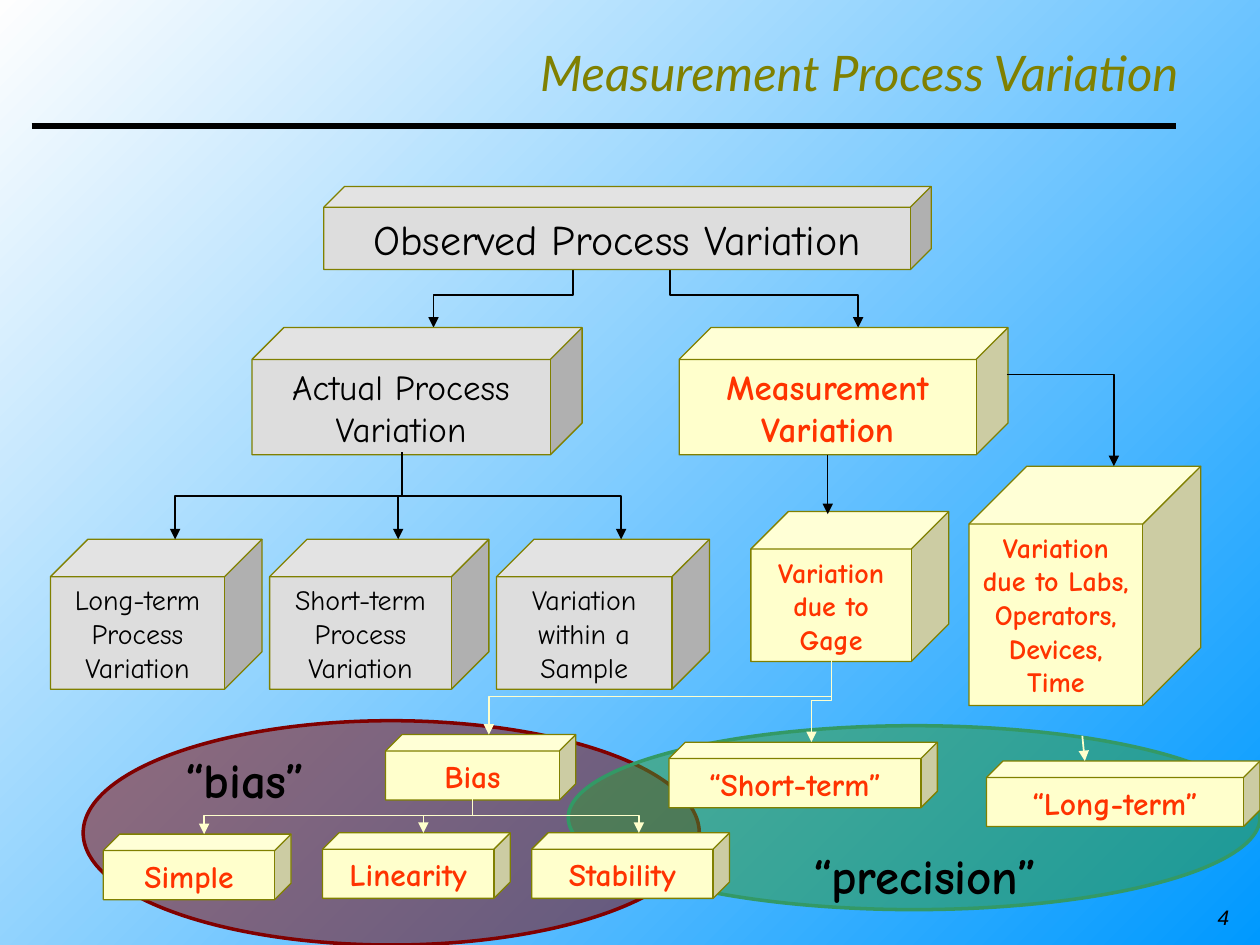
import pptx
import pptx.dml.color
import pptx.enum.shapes
import pptx.enum.text
import pptx.oxml
import pptx.oxml.ns
import pptx.util

Inches = pptx.util.Inches
Pt = pptx.util.Pt
SHAPE = pptx.enum.shapes.MSO_SHAPE
CONNECTOR = pptx.enum.shapes.MSO_CONNECTOR
ALIGN = pptx.enum.text.PP_ALIGN
ANCHOR = pptx.enum.text.MSO_ANCHOR
qn = pptx.oxml.ns.qn


def rgb(value):
    return pptx.dml.color.RGBColor.from_string(value)


def add_child(parent, tag, **attrs):
    child = pptx.oxml.parse_xml(f"<{tag} {pptx.oxml.ns.nsdecls('a')}/>")
    for name, value in attrs.items():
        child.set(name, value)
    parent.append(child)


class Diagram:
    BLACK = "000000"
    GREY = "DDDDDD"
    CREAM = "FFFFCC"
    OLIVE = "808000"
    RED = "FF3300"
    FONT = "Comic Neue"

    def __init__(self, prs):
        self.slide = prs.slides.add_slide(prs.slide_layouts[6])
        self.shapes = self.slide.shapes

    def shape(self, kind, box):
        sp = self.shapes.add_shape(kind, *map(Inches, box))
        sp.shadow.inherit = False
        return sp

    def backdrop(self, start, end):
        fill = self.slide.background.fill
        fill.solid()
        fill.fore_color.rgb = rgb(self.CREAM)
        sp = self.shape(SHAPE.RECTANGLE, (0, 0, 10, 7.5))
        sp.fill.gradient()
        sp.fill.gradient_angle = 135
        for stop, color in zip(sp.fill.gradient_stops, (start, end)):
            stop.color.rgb = rgb(color)
        sp.line.fill.background()

    def ellipse(self, box, fill, line):
        sp = self.shape(SHAPE.OVAL, box)
        sp.fill.solid()
        sp.fill.fore_color.rgb = rgb(fill)
        color = sp._element.spPr.find(qn("a:solidFill")).find(qn("a:srgbClr"))
        add_child(color, "a:alpha", val="50000")
        sp.line.color.rgb = rgb(line)
        sp.line.width = Pt(2)

    def set_text(self, tf, lines, size, color, font=FONT, bold=False,
                 italic=False, align=ALIGN.CENTER, before=0):
        tf.text = "\n".join(lines)
        for p in tf.paragraphs:
            p.alignment = align
            p.space_before = Pt(before)
            p.font.name = font
            p.font.size = Pt(size)
            p.font.bold = bold
            p.font.italic = italic
            p.font.color.rgb = rgb(color)

    def cube(self, box, size, *lines, measured=True):
        sp = self.shape(SHAPE.CUBE, box)
        sp.adjustments[0] = 0.25
        sp.fill.solid()
        sp.fill.fore_color.rgb = rgb(self.CREAM if measured else self.GREY)
        sp.line.color.rgb = rgb(self.OLIVE)
        sp.line.width = Pt(0.75)
        tf = sp.text_frame
        tf.word_wrap = True
        tf.vertical_anchor = ANCHOR.TOP
        tf.margin_left = tf.margin_right = Inches(0.09)
        self.set_text(tf, lines, size, self.RED if measured else self.BLACK,
                      bold=measured)

    def text(self, box, text, size, color=BLACK, wrap=False,
             anchor=ANCHOR.TOP, **style):
        tf = self.shapes.add_textbox(*map(Inches, box)).text_frame
        tf.word_wrap = wrap
        tf.vertical_anchor = anchor
        self.set_text(tf, [text], size, color, **style)

    def line(self, start, end, color=BLACK, width=0.75, arrow=True,
             kind=CONNECTOR.STRAIGHT):
        cxn = self.shapes.add_connector(kind, *map(Inches, (*start, *end)))
        cxn.line.color.rgb = rgb(color)
        cxn.line.width = Pt(width)
        spPr = cxn._element.spPr
        if arrow:
            add_child(spPr.find(qn("a:ln")), "a:tailEnd", type="triangle")
        add_child(spPr, "a:effectLst")
        return cxn

    def drop(self, start, end, color=BLACK, width=0.75):
        (x1, y1), (x2, y2) = start, end
        cx, cy = (x1 + x2) / 2, (y1 + y2) / 2
        half_w, half_h = (y2 - y1) / 2, abs(x2 - x1) / 2
        turn = 270 if x2 > x1 else 90
        if turn == 270:
            half_w = -half_w
        cxn = self.line((cx - half_w, cy - half_h), (cx + half_w, cy + half_h),
                        color, width, kind=CONNECTOR.ELBOW)
        cxn._element.spPr.find(qn("a:xfrm")).set("rot", str(turn * 60000))

    def corner(self, start, end):
        cxn = self.line(start, end, kind=CONNECTOR.ELBOW)
        cxn._element.spPr.find(qn("a:prstGeom")).set("prst", "bentConnector2")


def main():
    prs = pptx.Presentation()
    prs.slide_width, prs.slide_height = Inches(10), Inches(7.5)
    s = Diagram(prs)

    s.backdrop("0099FF", "FEFEFE")
    s.line((0.25, 1), (9.33, 1), width=3, arrow=False)
    s.text((9.42, 7.13, 0.58, 0.3), "4", 12, wrap=True, font="Arial",
           italic=True, before=7.5)
    s.text((1.95, 0.35, 7.5, 0.44), "Measurement Process Variation", 28,
           s.OLIVE, wrap=True, anchor=ANCHOR.MIDDLE, font="Lato",
           italic=True, align=ALIGN.RIGHT)
    s.ellipse((0.66, 5.72, 4.89, 1.78), "800000", "800000")
    s.ellipse((4.51, 5.76, 5.49, 1.46), "339933", "339966")

    s.drop((4.55, 2.08), (3.44, 2.6), width=1)
    s.drop((5.32, 2.08), (6.81, 2.6), width=1)
    s.cube((2.57, 1.48, 4.82, 0.66), 24, "Observed Process Variation",
           measured=False)
    s.cube((2, 2.6, 2.62, 1.01), 20, "Actual Process Variation",
           measured=False)
    s.cube((5.39, 2.6, 2.61, 1.01), 20, "Measurement Variation")

    for left, width, tip, label in (
        (0.4, 1.68, 1.39, "Long-term Process Variation"),
        (2.14, 1.74, 3.16, "Short-term Process Variation"),
        (3.94, 1.69, 4.93, "Variation within a Sample"),
    ):
        s.cube((left, 4.28, width, 1.19), 16, label, measured=False)
        s.drop((3.19, 3.59), (tip, 4.28), width=1)

    s.cube((7.69, 3.7, 1.84, 1.9), 16, "Variation",
           "due to Labs, Operators, Devices,", "Time")
    s.cube((5.96, 4.06, 1.57, 1.19), 16, "Variation", "due to", "Gage")
    s.line((6.57, 3.61), (6.57, 4.08))
    s.corner((7.99, 2.97), (8.84, 3.7))

    for left, top, width, label in (
        (3.06, 5.83, 1.51, "Bias"),
        (5.31, 5.89, 2.13, "“Short-term”"),
        (7.83, 6.04, 2.17, "“Long-term”"),
        (0.82, 6.62, 1.49, "Simple"),
        (2.56, 6.61, 1.49, "Linearity"),
        (4.22, 6.61, 1.57, "Stability"),
    ):
        s.cube((left, top, width, 0.52), 18, label)

    for tip in ((1.62, 6.62), (3.36, 6.61), (5.07, 6.61)):
        s.drop((3.75, 6.33), tip, s.CREAM)
    for tip in ((3.88, 5.83), (6.44, 5.89)):
        s.drop((6.6, 5.23), tip, s.CREAM)
    s.line((8.59, 5.84), (8.61, 6.04), s.CREAM, 1)

    s.text((6.35, 6.66, 1.98, 0.57), "“precision”", 28, bold=True)
    s.text((1.37, 5.9, 1.15, 0.57), "“bias”", 28, bold=True)
    prs.save("out.pptx")


if __name__ == "__main__":
    main()
